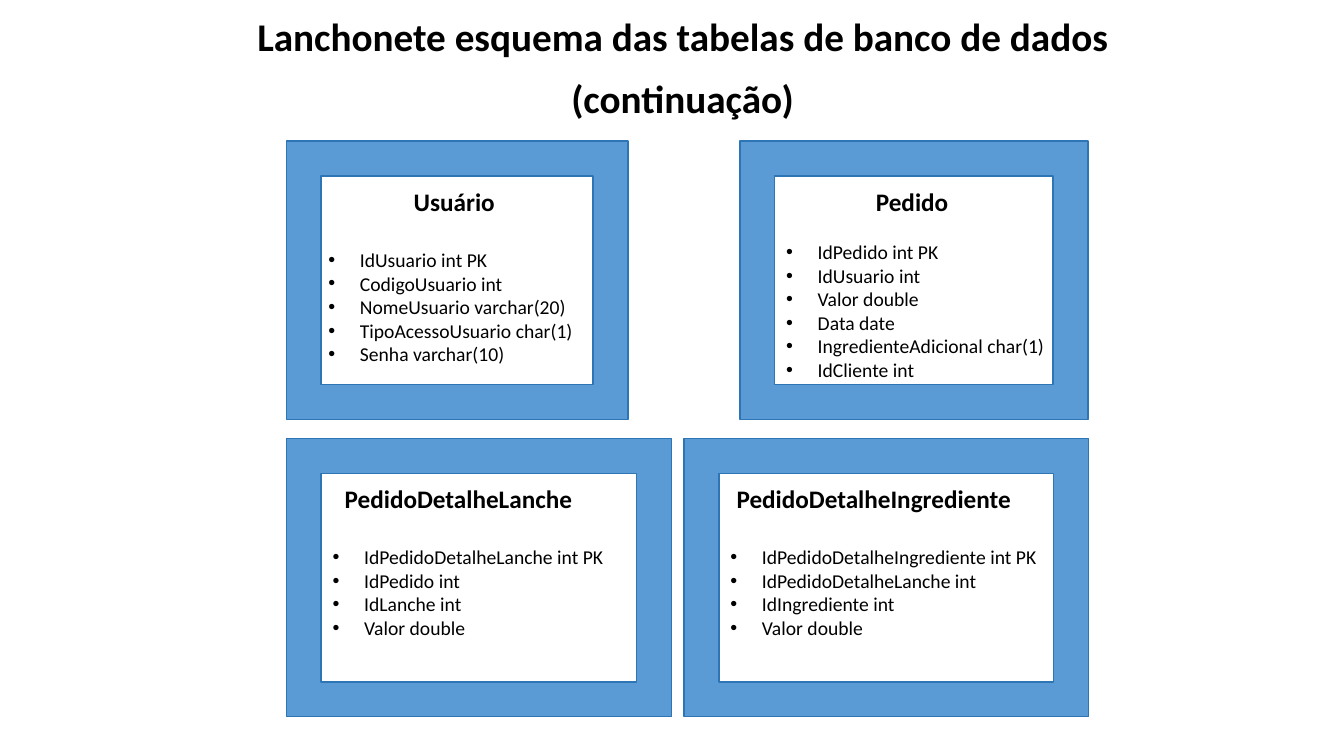
from dataclasses import dataclass

from lxml import etree
from pptx import Presentation
from pptx import util as u
from pptx.dml.color import RGBColor
from pptx.enum import shapes, text
from pptx.oxml import ns

Pt = u.Pt
COLOURS = {"frame": "5B9BD5", "border": "2E75B6", "text": "000000"}
FONT = "Calibri"
FRAME_HEIGHT = 198.7
TOP_ROW, BOTTOM_ROW = 100.8, 313.2
LIST_INDENT = 22.5


@dataclass
class Table:
    name: str
    columns: list
    left: float
    top: float
    width: float
    inset: float
    heading_width: float
    list_top: float
    list_width: float


TABLES = [
    Table("Usuário",
          ["IdUsuario int PK", "CodigoUsuario int", "NomeUsuario varchar(20)",
           "TipoAcessoUsuario char(1)", "Senha varchar(10)"],
          204.5, TOP_ROW, 244, 23, 194, 72.7, 205),
    Table("Pedido",
          ["IdPedido int PK", "IdUsuario int", "Valor double", "Data date",
           "IngredienteAdicional char(1)", "IdCliente int"],
          528.5, TOP_ROW, 248.6, 26, 194, 67, 205),
    Table("PedidoDetalheLanche",
          ["IdPedidoDetalheLanche int PK", "IdPedido int", "IdLanche int",
           "Valor double"],
          204.5, BOTTOM_ROW, 275, 26, 194, 72.7, 218),
    Table("PedidoDetalheIngrediente",
          ["IdPedidoDetalheIngrediente int PK", "IdPedidoDetalheLanche int",
           "IdIngrediente int", "Valor double"],
          488.7, BOTTOM_ROW, 288.7, 26, 219, 72.7, 241),
]


def colour(name):
    return RGBColor.from_string(COLOURS[name])


def format_runs(text_frame, size, bold=False):
    for paragraph in text_frame.paragraphs:
        for run in paragraph.runs:
            run.font.name = FONT
            run.font.size = Pt(size)
            run.font.bold = bold
            run.font.color.rgb = colour("text")


def add_bullet(paragraph):
    properties = paragraph._p.get_or_add_pPr()
    properties.set("marL", str(Pt(LIST_INDENT)))
    properties.set("indent", str(-Pt(LIST_INDENT)))
    etree.SubElement(properties, ns.qn("a:buFont")).set("typeface", "Arial")
    etree.SubElement(properties, ns.qn("a:buChar")).set("char", "•")


def add_text(slide, left, top, width, height, content, size, bold=False):
    box = slide.shapes.add_textbox(Pt(left), Pt(top), Pt(width), Pt(height))
    text_frame = box.text_frame
    text_frame.word_wrap = True
    text_frame.text = content
    format_runs(text_frame, size, bold)
    return text_frame


def add_title(slide, left, top, width, height):
    title = slide.shapes.title
    title.left, title.top = Pt(left), Pt(top)
    title.width, title.height = Pt(width), Pt(height)
    text_frame = title.text_frame
    text_frame.text = "Lanchonete esquema das tabelas de banco de dados (continuação)"
    text_frame.word_wrap = True
    text_frame.auto_size = text.MSO_AUTO_SIZE.NONE
    text_frame.vertical_anchor = text.MSO_ANCHOR.BOTTOM
    paragraph = text_frame.paragraphs[0]
    paragraph.alignment = text.PP_ALIGN.CENTER
    paragraph.line_spacing = 1.3
    format_runs(text_frame, 28, True)


def add_table_card(slide, table):
    frame = slide.shapes.add_shape(
        shapes.MSO_SHAPE.FRAME, Pt(table.left), Pt(table.top),
        Pt(table.width), Pt(FRAME_HEIGHT))
    frame.shadow.inherit = False
    frame.fill.solid()
    frame.fill.fore_color.rgb = colour("frame")
    frame.line.color.rgb = colour("border")
    frame.line.width = Pt(1)

    left = table.left + table.inset
    heading = add_text(slide, left, table.top + 28.8, table.heading_width, 29,
                       table.name, 18, True)
    heading.auto_size = text.MSO_AUTO_SIZE.SHAPE_TO_FIT_TEXT
    heading.paragraphs[0].alignment = text.PP_ALIGN.CENTER

    columns = add_text(slide, left, table.top + table.list_top, table.list_width,
                       99.4, "\n".join(table.columns), 14)
    for paragraph in columns.paragraphs:
        add_bullet(paragraph)


def main():
    presentation = Presentation()
    presentation.slide_width, presentation.slide_height = Pt(960), Pt(540)
    slide = presentation.slides.add_slide(presentation.slide_layouts[5])
    add_title(slide, 127.5, 21.6, 720, 68.4)
    for table in TABLES:
        add_table_card(slide, table)
    presentation.save("out.pptx")


if __name__ == "__main__":
    main()
